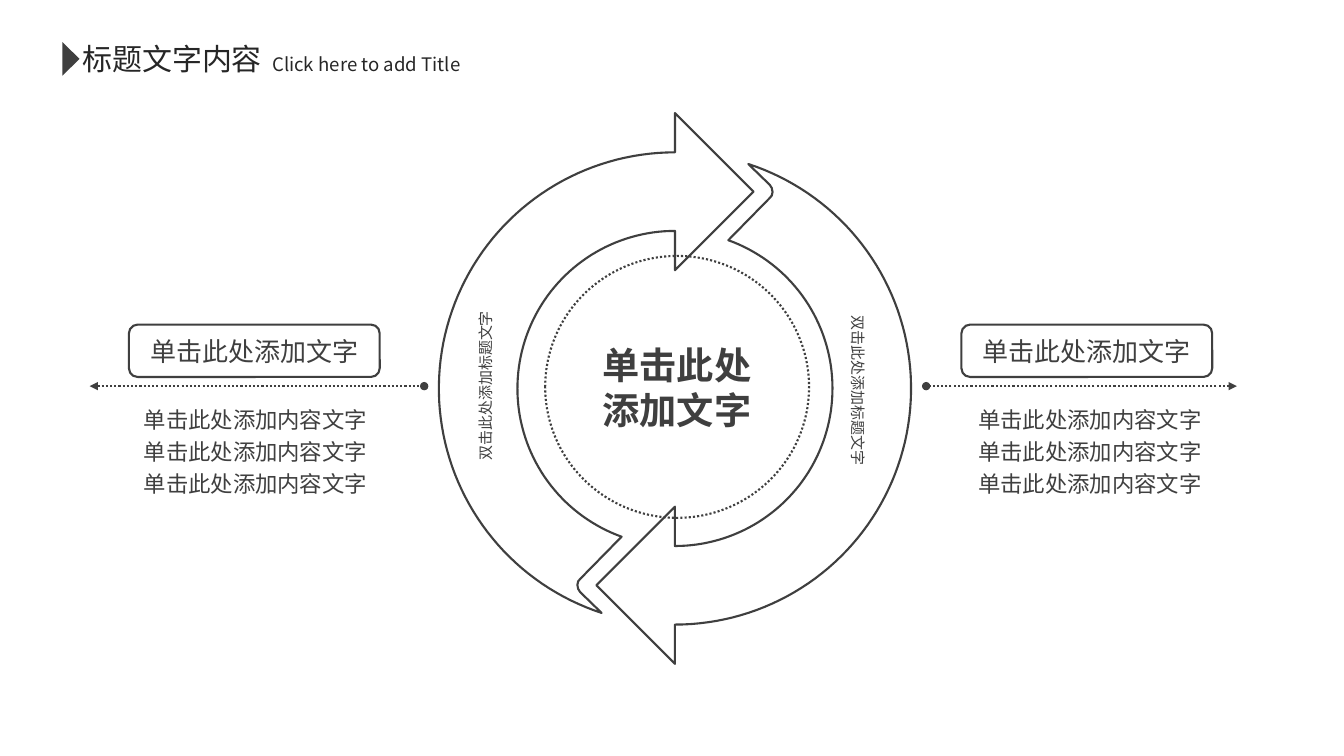
import math
from lxml import etree
from pptx import Presentation
from pptx import util as u
from pptx.dml.color import RGBColor
from pptx.enum import dml, shapes, text
from pptx.oxml import ns

Cm = u.Cm

THEME = {
    "paper": "FFFFFF", "ink": "3F3F3F", "heading": "262626",
    "latin": "Arial", "cjk": "Noto Sans CJK SC", "stroke": 1.5,
    "title": 21.4, "subtitle": 13.3, "center": 26.6,
    "label": 18.6, "body": 16, "ring": 10.7,
}

SLIDE_SIZE = (33.87, 19.05)
TITLE = ("标题文字内容", (2.08, 0.89, 4.8, 1.17), "title")
SUBTITLE = ("Click here to add Title", (6.86, 1.19, 5.2, 0.84), "subtitle")
TITLE_MARK = (1.37, 1.27, 0.84, 0.43)
CENTER = (["单击此处", "添加文字"], (13.74, 6.45, 6.65, 6.6))
RING_TEXT = "双击此处添加标题文字"
RING_BOXES = [((11.68, 6.05, 7.9, 7.34), 270), ((13.21, 5.61, 8.94, 8.46), 90)]
LABEL = "单击此处添加文字"
BODY = ["单击此处添加内容文字"] * 3
SIDES = [
    {"label_x": 3.25, "body_x": 3.33, "arrow": (2.26, 10.69)},
    {"label_x": 24.23, "body_x": 24.36, "arrow": (31.17, 23.34)},
]
RING = {"center": (17.01, 9.79), "mid": 4.96, "band": 0.99, "head": 1.98}
NOTCH = [(-2.39, 5.13), (-2.44, 5.05), (-2.46, 4.95), (-2.44, 4.86), (-2.39, 4.8)]


def color(name):
    return RGBColor.from_string(THEME[name])


def write(shape, lines, *, size, font="latin", ink="ink", bold=False, spacing=None,
          align=text.PP_ALIGN.CENTER, anchor=text.MSO_ANCHOR.MIDDLE, wrap=False,
          inset=0):
    frame = shape.text_frame
    frame.word_wrap = wrap
    frame.vertical_anchor = anchor
    frame.margin_left = frame.margin_right = 0
    frame.margin_top = frame.margin_bottom = Cm(inset)
    for i, line in enumerate(lines):
        para = frame.paragraphs[0] if i == 0 else frame.add_paragraph()
        para.alignment = align
        if spacing:
            para.line_spacing = spacing
        run = para.add_run()
        run.text = line
        run.font.size = u.Pt(THEME[size])
        run.font.bold = bold
        run.font.name = THEME[font]
        run.font.color.rgb = color(ink)
        east_asian = etree.SubElement(run.font._element, ns.qn("a:ea"))
        east_asian.set("typeface", THEME[font])
        run.font._element.find(ns.qn("a:latin")).addnext(east_asian)


def stroke(line, dotted=False):
    line.color.rgb = color("ink")
    line.width = u.Pt(THEME["stroke"])
    if dotted:
        line.dash_style = dml.MSO_LINE.ROUND_DOT


def style(shape, fill=None, outlined=True, dotted=False):
    shape.shadow.inherit = False
    if fill:
        shape.fill.solid()
        shape.fill.fore_color.rgb = color(fill)
    else:
        shape.fill.background()
    if outlined:
        stroke(shape.line, dotted)
    else:
        shape.line.fill.background()
    return shape


def add_preset(slide, kind, box, **look):
    return style(slide.shapes.add_shape(kind, *map(Cm, box)), **look)


def add_text(slide, lines, box, rotation=0, **fmt):
    holder = slide.shapes.add_textbox(*map(Cm, box))
    holder.rotation = rotation
    write(holder, lines, **fmt)


def arc(radius, start, end, steps=80):
    angles = [math.radians(start + (end - start) * i / steps) for i in range(steps + 1)]
    return [(radius * math.cos(a), -radius * math.sin(a)) for a in angles]


def ring_arrow(slide, turn):
    mid, band, head = RING["mid"], RING["band"], RING["head"]
    outline = (arc(mid + band, 90, 251.9) + NOTCH + arc(mid - band, 250.2, 90)
               + [(0, head - mid), (head, -mid), (0, -mid - head)])
    cx, cy = RING["center"]
    points = [(Cm(cx + turn * x), Cm(cy + turn * y)) for x, y in outline]
    builder = slide.shapes.build_freeform(*points[0])
    builder.add_line_segments(points[1:], close=True)
    style(builder.convert_to_shape())


def dotted_arrow(slide, tip, dot, y):
    arrow = slide.shapes.add_connector(
        shapes.MSO_CONNECTOR.STRAIGHT, Cm(tip), Cm(y), Cm(dot), Cm(y))
    stroke(arrow.line, dotted=True)
    line = arrow.line._get_or_add_ln()
    for end, kind in (("a:headEnd", "triangle"), ("a:tailEnd", "oval")):
        etree.SubElement(line, ns.qn(end)).set("type", kind)
    etree.SubElement(arrow._element.spPr, ns.qn("a:effectLst"))


def main():
    deck = Presentation()
    deck.slide_width, deck.slide_height = map(Cm, SLIDE_SIZE)
    slide = deck.slides.add_slide(deck.slide_layouts[6])
    kinds = shapes.MSO_SHAPE

    add_preset(slide, kinds.RECTANGLE, (0, 0, *SLIDE_SIZE), fill="paper", outlined=False)
    center_lines, center_box = CENTER
    hub = add_preset(slide, kinds.OVAL, center_box, dotted=True)
    write(hub, center_lines, size="center", bold=True)

    for turn in (1, -1):
        ring_arrow(slide, turn)
    for box, rotation in RING_BOXES:
        add_text(slide, [RING_TEXT], box, rotation, size="ring", font="cjk",
                 anchor=text.MSO_ANCHOR.TOP, wrap=True, inset=0.06)

    for side in SIDES:
        dotted_arrow(slide, *side["arrow"], 9.73)
        label = add_preset(slide, kinds.ROUNDED_RECTANGLE, (side["label_x"], 8.18, 6.32, 1.32))
        write(label, [LABEL], size="label")
        add_text(slide, BODY, (side["body_x"], 9.96, 6.22, 2.72), size="body",
                 spacing=1.2, anchor=text.MSO_ANCHOR.TOP, wrap=True, inset=0.13)

    mark = add_preset(slide, kinds.ISOSCELES_TRIANGLE, TITLE_MARK, fill="ink", outlined=False)
    mark.rotation = 90
    for words, box, size in (TITLE, SUBTITLE):
        add_text(slide, [words], box, size=size, font="cjk", ink="heading",
                 align=text.PP_ALIGN.LEFT, wrap=True)
    deck.save("out.pptx")


if __name__ == "__main__":
    main()
